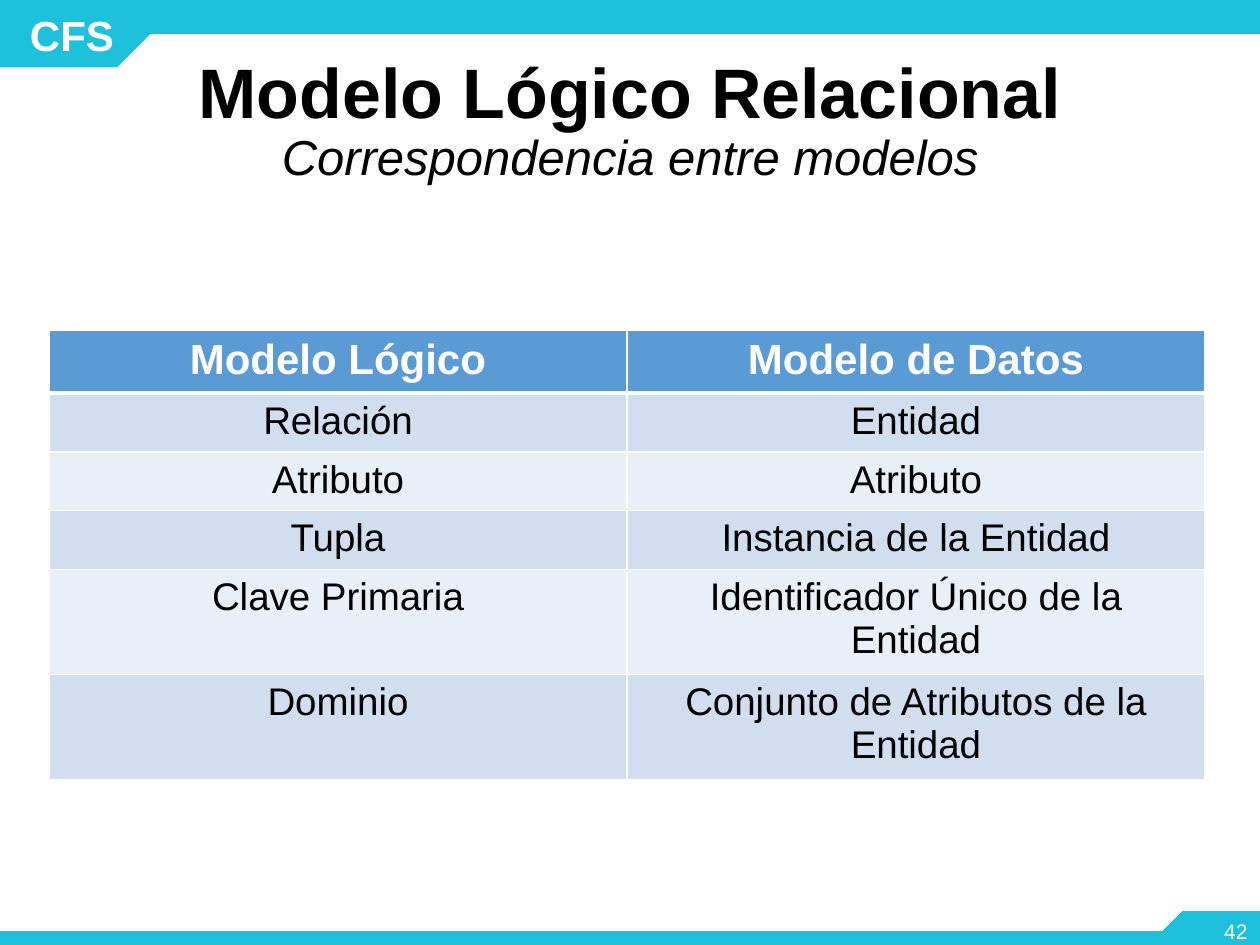
from lxml import etree
from pptx import Presentation
from pptx.dml.color import RGBColor
from pptx.enum.shapes import MSO_SHAPE
from pptx.enum.text import MSO_ANCHOR, PP_ALIGN
from pptx.oxml.ns import qn
from pptx.util import Emu, Pt

PX = 914400 / 126
RECT = MSO_SHAPE.RECTANGLE
SNIP = MSO_SHAPE.SNIP_1_RECTANGLE
MIDDLE = MSO_ANCHOR.MIDDLE
CENTER = PP_ALIGN.CENTER
RIGHT = PP_ALIGN.RIGHT

WHITE = RGBColor(0xFF, 0xFF, 0xFF)
BLACK = RGBColor(0x00, 0x00, 0x00)
CYAN = RGBColor(0x1D, 0xC1, 0xDC)
HEADER_BLUE = RGBColor(0x5B, 0x9B, 0xD5)
BANDS = (RGBColor(0xD0, 0xDE, 0xEF), RGBColor(0xE9, 0xEF, 0xF7))

LABEL = {"size": Pt(24), "bold": True, "color": WHITE}
TITLE = {"size": Pt(40), "bold": True, "color": BLACK}
SUBTITLE = {"size": Pt(28), "italic": True, "color": BLACK}
NUMBER = {"size": Pt(12), "color": WHITE}
BODY = {"size": Pt(22), "bold": False, "color": BLACK}

ROWS = [
    ("Modelo Lógico", "Modelo de Datos"),
    ("Relación", "Entidad"),
    ("Atributo", "Atributo"),
    ("Tupla", "Instancia de la Entidad"),
    ("Clave Primaria", "Identificador Único de la Entidad"),
    ("Dominio", "Conjunto de Atributos de la Entidad"),
]


def px(*lengths):
    return [Emu(round(length * PX)) for length in lengths]


def add_span(para, text, style):
    span = para.add_run()
    span.text = text
    span.font.name = "Arial"
    for name, value in style.items():
        if name == "color":
            span.font.color.rgb = value
        else:
            setattr(span.font, name, value)


def add_bar(page, kind, bounds, rotation=0):
    bar = page.shapes.add_shape(kind, *px(*bounds))
    bar.shadow.inherit = False
    bar.fill.solid()
    bar.fill.fore_color.rgb = CYAN
    bar.line.fill.background()
    bar.rotation = rotation
    return bar


def add_tab(page, bounds, rotation=0):
    tab = add_bar(page, SNIP, bounds, rotation)
    tab.adjustments[0] = 0.5
    tab.element.spPr.find(qn("a:xfrm")).set("flipH", "1")


def add_text(page, bounds, spans, align=CENTER, spacing=None):
    frame = page.shapes.add_textbox(*px(*bounds)).text_frame
    frame.word_wrap = True
    frame.vertical_anchor = MIDDLE
    para = frame.paragraphs[0]
    para.alignment = align
    para.line_spacing = spacing
    for index, (text, style) in enumerate(spans):
        if index:
            para.add_line_break()
        add_span(para, text, style)


def set_borders(cell, widths):
    props = cell._tc.get_or_add_tcPr()
    for side, width in widths.items():
        line = etree.SubElement(props, qn(f"a:ln{side}"), w=str(Pt(width)))
        fill = etree.SubElement(line, qn("a:solidFill"))
        etree.SubElement(fill, qn("a:srgbClr"), val=str(WHITE))


def add_grid(page, bounds, rows):
    table = page.shapes.add_table(len(rows), len(rows[0]), *px(*bounds)).table
    for row, texts in enumerate(rows):
        for column, text in enumerate(texts):
            cell = table.cell(row, column)
            set_borders(cell, {
                "L": 1,
                "R": 1,
                "T": 3 if row == 1 else 1,
                "B": 3 if row == 0 else 1,
            })
            cell.fill.solid()
            cell.fill.fore_color.rgb = BANDS[(row - 1) % 2] if row else HEADER_BLUE
            para = cell.text_frame.paragraphs[0]
            para.alignment = CENTER
            add_span(para, text, BODY if row else LABEL)


def main():
    deck = Presentation()
    deck.slide_width, deck.slide_height = px(1260, 945)
    page = deck.slides.add_slide(deck.slide_layouts[6])
    add_bar(page, RECT, (0, 931, 1260, 20))
    add_tab(page, (1163, 911, 97, 39))
    add_bar(page, RECT, (141, 0, 1119, 34))
    add_tab(page, (0, 0, 151, 67), 180)
    add_text(page, (9, 5, 126, 59), [("CFS", LABEL)])
    add_text(page, (87, 38, 1086, 168), [
        ("Modelo Lógico Relacional", TITLE),
        ("Correspondencia entre modelos", SUBTITLE),
    ], spacing=0.9)
    add_text(page, (1183, 906, 77, 50), [("42", NUMBER)], RIGHT)
    add_grid(page, (49, 330, 1156, 312), ROWS)
    deck.save("out.pptx")


if __name__ == "__main__":
    main()
